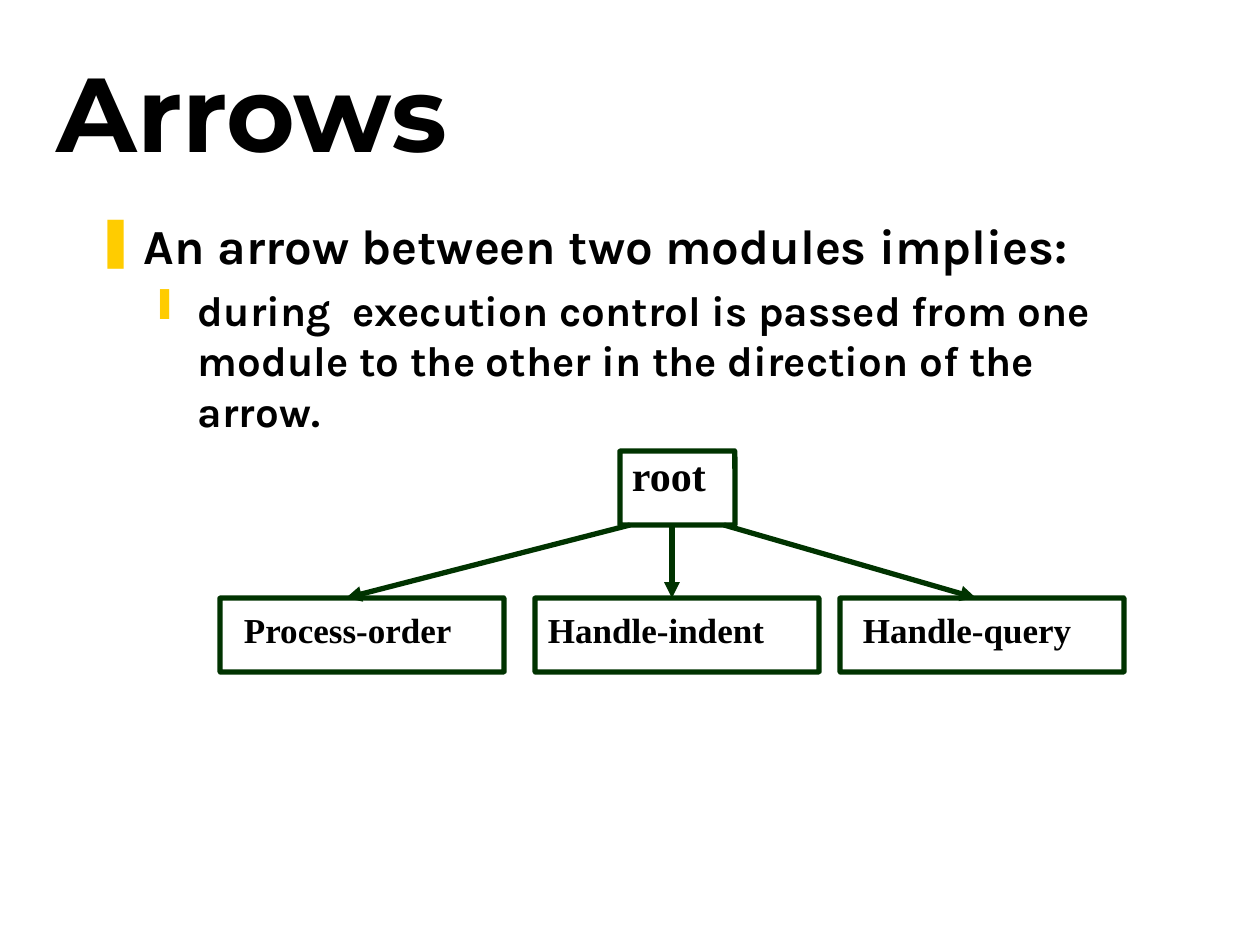
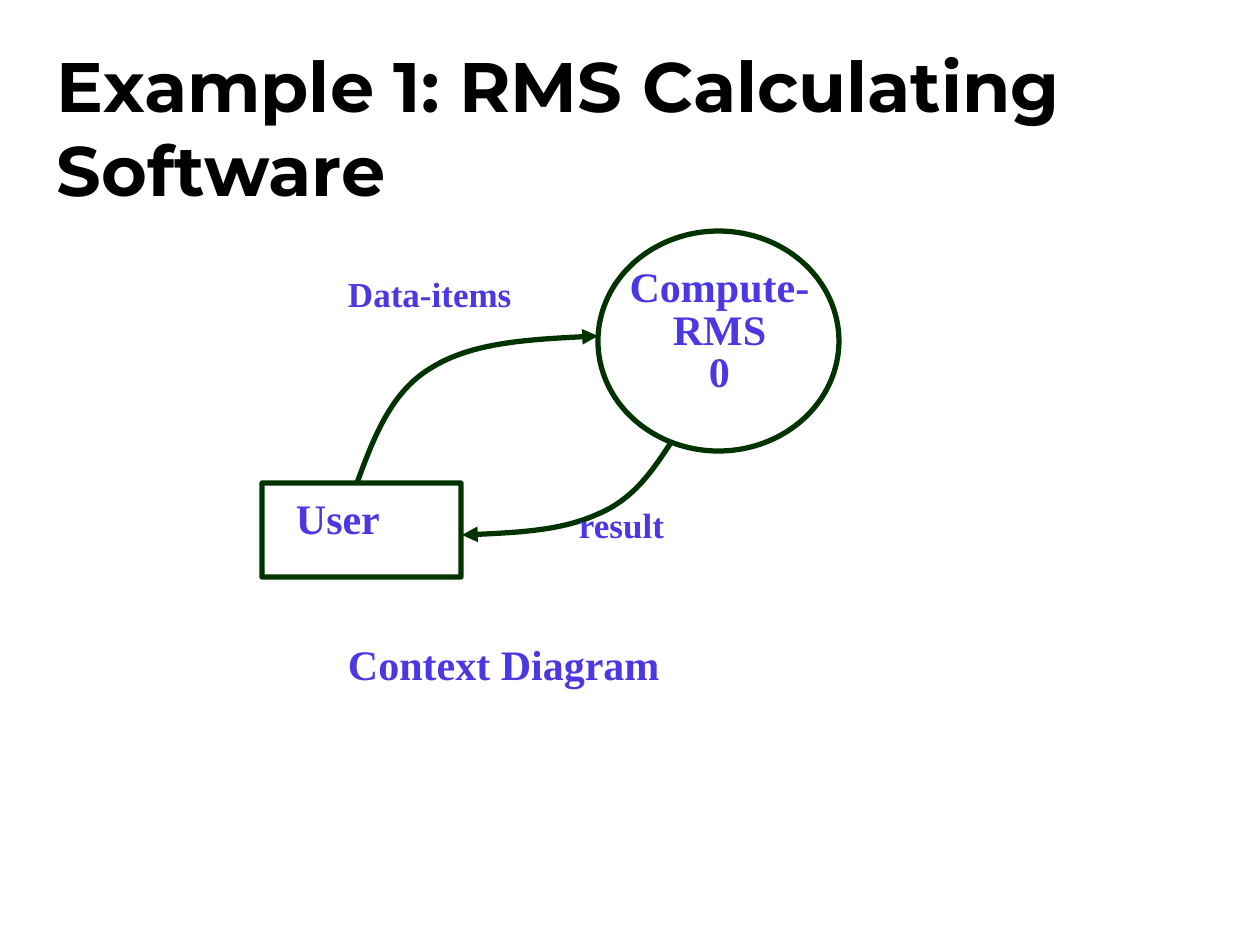
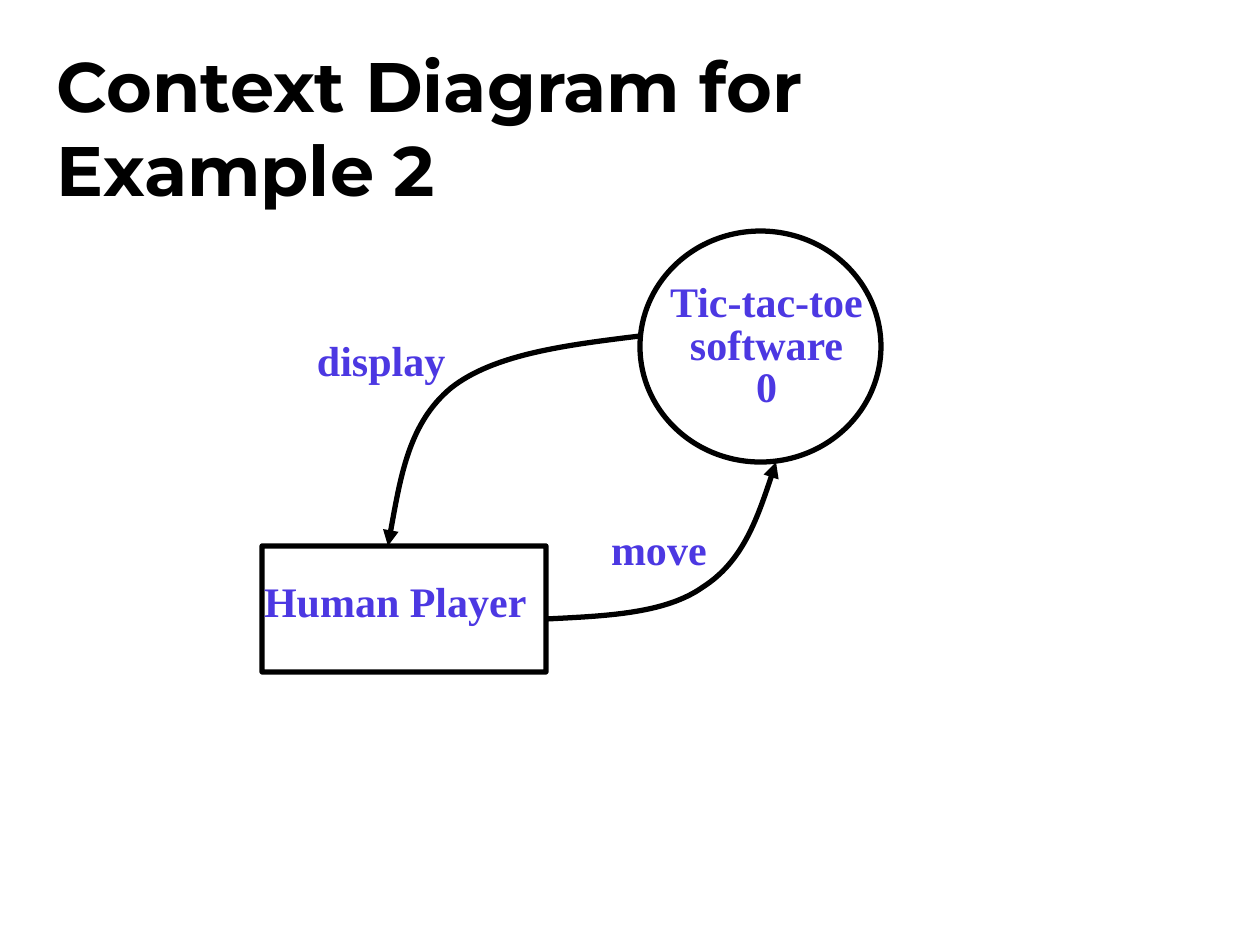
from lxml.etree import SubElement
from pptx import Presentation
from pptx.dml.color import RGBColor
from pptx.enum.shapes import MSO_CONNECTOR as CONN, MSO_SHAPE as SHAPE
from pptx.enum.text import MSO_ANCHOR as ANCHOR, PP_ALIGN as ALIGN
from pptx.oxml.ns import qn
from pptx.util import Pt

SCALE = 914400 / 126  # EMU per pixel
COLORS = {"black": "000000", "green": "003300", "violet": "4C38E2", "gold": "FFCC00"}
TITLE_FONT, BODY_FONT, LABEL_FONT = "Montserrat", "Karla", "Times New Roman"


def px(n):
    return round(n * SCALE)


def rgb(name):
    return RGBColor.from_string(COLORS[name])


def add_text(p, text, *, size, font, color="black", before=0, spacing=None, align=None):
    """Fill a paragraph with bold text; a newline becomes a line break."""
    p.space_before = Pt(before)
    p.line_spacing = spacing
    p.alignment = align
    for i, line in enumerate(text.split("\n")):
        if i:
            p.add_line_break()
        r = p.add_run()
        r.text = line
        r.font.size, r.font.name, r.font.bold = Pt(size), font, True
        r.font.color.rgb = rgb(color)


class Deck:
    def __init__(self):
        self.prs = Presentation()
        self.prs.slide_width, self.prs.slide_height = px(1260), px(945)
        self.shapes = None
        self.line_color = "black"

    def new_slide(self, line_color):
        self.shapes = self.prs.slides.add_slide(self.prs.slide_layouts[6]).shapes
        self.line_color = line_color

    def frame(self, x, y, w, h):
        tf = self.shapes.add_textbox(px(x), px(y), px(w), px(h)).text_frame
        tf.word_wrap = True
        tf.margin_left = tf.margin_right = px(2)
        tf.margin_top = tf.margin_bottom = px(6)
        return tf

    def title(self, text, y, h, size=40, before=10):
        tf = self.frame(55, y, 1071, h)
        tf.vertical_anchor = ANCHOR.MIDDLE
        add_text(tf.paragraphs[0], text, size=size, font=TITLE_FONT, before=before)

    def bullets(self, items, x, y, w, h):
        """Items are (level, text)."""
        styles = [(28, 6.4, 48, 48, "\u275a"), (24, 5.5, 102, 39, "\u2759")]
        tf = self.frame(x, y, w, h)
        for i, (level, text) in enumerate(items):
            size, before, margin, hang, char = styles[level]
            p = tf.add_paragraph() if i else tf.paragraphs[0]
            p.level = level
            add_text(p, text, size=size, font=BODY_FONT, before=before)
            pPr = p._p.get_or_add_pPr()
            pPr.set("marL", str(px(margin)))
            pPr.set("indent", str(-px(hang)))
            clr = SubElement(pPr, qn("a:buClr"))
            SubElement(clr, qn("a:srgbClr"), val=COLORS["gold"])
            SubElement(pPr, qn("a:buChar"), char=char)

    def label(self, text, x, y, w, h, size=24, color="violet", align=None):
        add_text(self.frame(x, y, w, h).paragraphs[0], text, size=size, font=LABEL_FONT,
                 color=color, before=size * 0.575, spacing=0.85, align=align)

    def outline(self, sp, arrow=False):
        sp.line.color.rgb = rgb(self.line_color)
        sp.line.width = Pt(3)
        spPr = sp._element.spPr
        if arrow:
            SubElement(spPr.find(qn("a:ln")), qn("a:tailEnd"), type="triangle")
        SubElement(spPr, qn("a:effectLst"))

    def shape(self, kind, x, y, w, h):
        sp = self.shapes.add_shape(kind, px(x), px(y), px(w), px(h))
        sp.fill.background()
        self.outline(sp)
        return sp

    def box(self, x, y, w, h):
        self.shape(SHAPE.ROUNDED_RECTANGLE, x, y, w, h).adjustments[0] = 0.003

    def circle(self, x, y, w, h):
        self.shape(SHAPE.OVAL, x, y, w, h)

    def arrow(self, x1, y1, x2, y2):
        ends = [px(n) for n in (x1, y1, x2, y2)]
        self.outline(self.shapes.add_connector(CONN.STRAIGHT, *ends), arrow=True)

    def curve(self, start, *points):
        """Arrow along Bezier segments of three points each."""
        fb = self.shapes.build_freeform(px(start[0]), px(start[1]))
        fb.add_line_segments([(px(x), px(y)) for x, y in points], close=False)
        sp = fb.convert_to_shape()
        steps = list(sp._element.iter(qn("a:lnTo")))
        for i in range(0, len(steps), 3):
            bezier = SubElement(steps[i].getparent(), qn("a:cubicBezTo"))
            for step in steps[i:i + 3]:
                bezier.append(step[0])
                step.getparent().remove(step)
        sp.fill.background()
        self.outline(sp, arrow=True)


deck = Deck()

# Slide 1: module tree
deck.new_slide("green")
deck.title("Arrows", 32, 157, size=60, before=13.8)
deck.bullets([
    (0, "An arrow between two modules implies:"),
    (1, "during  execution control is passed from one module to the other "
        "in the direction of the arrow."),
], 94, 210, 1071, 567)
deck.box(620, 451, 115, 74)
deck.label("root", 630, 451, 158, 63, color="black")
modules = [  # name, box x, text x, arrow from x, arrow to x
    ("Process-order", 220, 242, 630, 346),
    ("Handle-indent", 535, 546, 672, 672),
    ("Handle-query", 840, 861, 724, 976),
]
for name, box_x, text_x, from_x, to_x in modules:
    deck.box(box_x, 598, 284, 74)
    deck.label(name, text_x, 609, 262, 54, size=20, color="black")
    deck.arrow(from_x, 525, to_x, 598)

# Slide 2: RMS context diagram
deck.new_slide("green")
deck.title("Example 1: RMS Calculating Software", 37, 179)
deck.circle(598, 231, 241, 220)
deck.label("Compute- RMS\n0", 620, 262, 199, 164, align=ALIGN.CENTER)
deck.box(262, 483, 199, 94)
deck.label("User", 294, 494, 189, 63)
deck.curve((357, 483), (374, 437), (391, 392), (431, 368), (471, 343), (534, 339), (598, 336))
deck.curve((672, 441), (653, 470), (634, 499), (598, 514), (563, 530), (513, 533), (462, 535))
deck.label("Data-items", 346, 273, 168, 97, size=20)
deck.label("result", 577, 504, 126, 54, size=20)
deck.label("Context Diagram", 346, 640, 609, 63)

# Slide 3: game context diagram
deck.new_slide("black")
deck.title("Context Diagram for Example 2", 48, 157)
deck.circle(640, 231, 241, 231)
deck.label("Tic-tac-toe software\n0", 651, 277, 231, 164, align=ALIGN.CENTER)
deck.box(262, 546, 284, 126)
deck.label("Human Player", 262, 577, 294, 63)
deck.curve((640, 336), (567, 345), (494, 354), (451, 388), (409, 423), (399, 485), (388, 546))
deck.curve((546, 619), (605, 616), (665, 614), (703, 587), (742, 562), (760, 512), (776, 462))
deck.label("display", 315, 336, 189, 63)
deck.label("move", 609, 525, 220, 63)

deck.prs.save("out.pptx")
